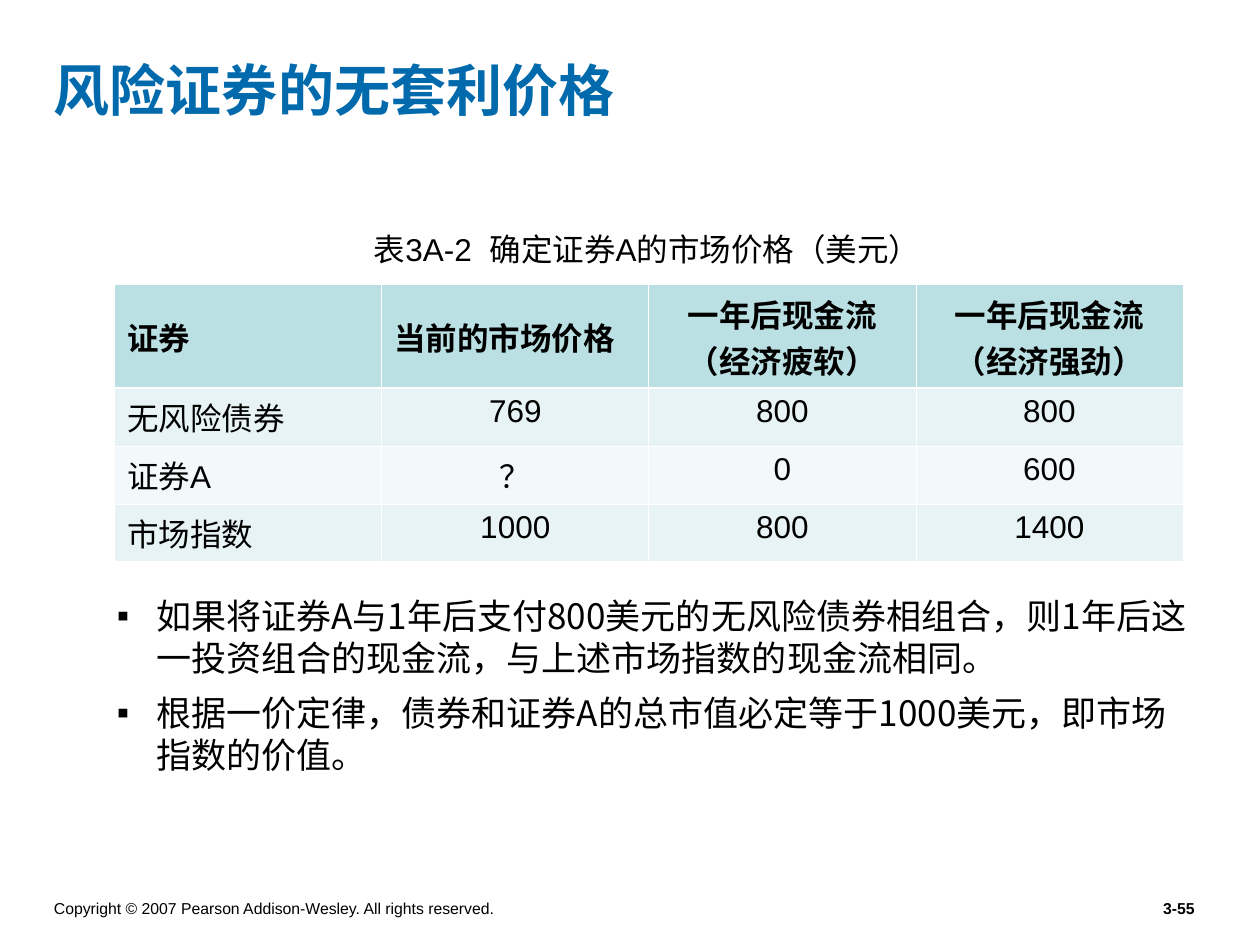
from dataclasses import dataclass

from lxml import etree
from pptx import Presentation
from pptx import util as u
from pptx.dml.color import RGBColor
from pptx.enum import text
from pptx.oxml import ns


@dataclass(frozen=True)
class Theme:
    latin: str = "Arial"
    chinese: str = "Noto Sans CJK SC"
    black: str = "000000"
    title: str = "006AAC"
    header_fill: str = "BBE0E3"
    odd_fill: str = "E7F3F4"
    even_fill: str = "F3F9FA"
    border: str = "FFFFFF"
    title_size: float = 32
    body_size: float = 20
    table_size: float = 18
    footer_size: float = 9
    thin: float = 0.45
    thick: float = 1.47


@dataclass(frozen=True)
class Box:
    left: float
    top: float
    width: float
    height: float

    def lengths(self) -> list:
        return [u.Inches(n) for n in (self.left, self.top, self.width, self.height)]


THEME = Theme()
LEFT, CENTER, RIGHT = text.PP_ALIGN.LEFT, text.PP_ALIGN.CENTER, text.PP_ALIGN.RIGHT
TOP, MIDDLE, BOTTOM = text.MSO_ANCHOR.TOP, text.MSO_ANCHOR.MIDDLE, text.MSO_ANCHOR.BOTTOM

HEADER_HEIGHT, ROW_HEIGHT = 0.82, 0.46
TABLE_ROWS = (
    ("证券", "当前的市场价格", "一年后现金流\n（经济疲软）", "一年后现金流\n（经济强劲）"),
    ("无风险债券", "769", "800", "800"),
    ("证券A", "？", "0", "600"),
    ("市场指数", "1000", "800", "1400"),
)
TABLE_BOX = Box(0.91, 2.26, 8.48, HEADER_HEIGHT + ROW_HEIGHT * (len(TABLE_ROWS) - 1))
BULLETS = (
    "如果将证券A与1年后支付800美元的无风险债券相组合，则1年后这一投资组合的现金流，与上述市场指数的现金流相同。",
    "根据一价定律，债券和证券A的总市值必定等于1000美元，即市场指数的价值。",
)


def add_bullet(paragraph) -> None:
    properties = paragraph._p.get_or_add_pPr()
    properties.set("marL", str(u.Inches(0.81)))
    properties.set("indent", str(u.Inches(-0.31)))
    color = etree.SubElement(properties, ns.qn("a:buClr"))
    etree.SubElement(color, ns.qn("a:srgbClr"), val=THEME.black)
    etree.SubElement(properties, ns.qn("a:buFont"), typeface=THEME.latin)
    etree.SubElement(properties, ns.qn("a:buChar"), char="▪")


def write_text(frame, content: str, *, size: float, color: str = THEME.black,
               font: str = THEME.latin, bold: bool = False, align=LEFT,
               bulleted: bool = False, gap: float = 0) -> None:
    """Write one paragraph per line of content, with gap points between them."""
    for index, line in enumerate(content.split("\n")):
        paragraph = frame.add_paragraph() if index else frame.paragraphs[0]
        if bulleted:
            add_bullet(paragraph)
        paragraph.alignment = align
        if index and gap:
            paragraph.space_before = u.Pt(gap)
        run = paragraph.add_run()
        run.text = line
        run.font.name = font
        run.font.size = u.Pt(size)
        run.font.bold = bold
        run.font.color.rgb = RGBColor.from_string(color)
        latin = run._r.rPr.find(ns.qn("a:latin"))
        east_asian = etree.Element(ns.qn("a:ea"), typeface=THEME.chinese)
        latin.addnext(east_asian)


def add_text_box(slide, box: Box, content: str, *, anchor=TOP, wrap: bool = True,
                 **text_format) -> None:
    frame = slide.shapes.add_textbox(*box.lengths()).text_frame
    frame.word_wrap = wrap
    frame.vertical_anchor = anchor
    if not wrap:
        frame.auto_size = text.MSO_AUTO_SIZE.SHAPE_TO_FIT_TEXT
    write_text(frame, content, **text_format)


def set_borders(cell, top: float, bottom: float) -> None:
    """Draw the cell borders; they must precede the fill in the cell properties."""
    properties = cell._tc.get_or_add_tcPr()
    widths = {"lnL": THEME.thin, "lnR": THEME.thin, "lnT": top, "lnB": bottom}
    for side, width in widths.items():
        line = etree.SubElement(properties, ns.qn(f"a:{side}"), w=str(u.Pt(width)))
        fill = etree.SubElement(line, ns.qn("a:solidFill"))
        etree.SubElement(fill, ns.qn("a:srgbClr"), val=THEME.border)


def add_price_table(slide) -> None:
    column_count = len(TABLE_ROWS[0])
    table = slide.shapes.add_table(
        len(TABLE_ROWS), column_count, *TABLE_BOX.lengths()).table
    for column in table.columns:
        column.width = u.Inches(TABLE_BOX.width / column_count)
    fills = (THEME.header_fill, THEME.odd_fill, THEME.even_fill, THEME.odd_fill)
    for r, (values, fill) in enumerate(zip(TABLE_ROWS, fills)):
        is_header = r == 0
        table.rows[r].height = u.Inches(HEADER_HEIGHT if is_header else ROW_HEIGHT)
        for c, value in enumerate(values):
            cell = table.cell(r, c)
            set_borders(cell, top=THEME.thick if r == 1 else THEME.thin,
                        bottom=THEME.thick if is_header else THEME.thin)
            cell.fill.solid()
            cell.fill.fore_color.rgb = RGBColor.from_string(fill)
            left_aligned = c == 0 or (is_header and c == 1)
            cell.vertical_anchor = MIDDLE if is_header and left_aligned else TOP
            write_text(cell.text_frame, value, size=THEME.table_size, bold=is_header,
                       align=LEFT if left_aligned else CENTER)


def main() -> None:
    presentation = Presentation()
    presentation.slide_width = u.Inches(10)
    presentation.slide_height = u.Inches(7.5)
    slide = presentation.slides.add_slide(presentation.slide_layouts[6])

    add_text_box(slide, Box(0.33, 7.08, 4.33, 0.25),
                 "Copyright © 2007 Pearson Addison-Wesley. All rights reserved.",
                 anchor=BOTTOM, size=THEME.footer_size)
    add_text_box(slide, Box(7.5, 7.08, 2.08, 0.25), "3-55",
                 size=THEME.footer_size, bold=True, align=RIGHT)
    add_text_box(slide, Box(0.33, 0.08, 9.25, 1.25), "风险证券的无套利价格",
                 anchor=MIDDLE, size=THEME.title_size, color=THEME.title, bold=True)
    add_text_box(slide, Box(0.33, 4.67, 9.25, 2.17), "\n".join(BULLETS),
                 size=THEME.body_size, font=THEME.chinese, bulleted=True, gap=7.5)
    add_price_table(slide)
    add_text_box(slide, Box(2.87, 1.78, 4.77, 0.4), "表3A-2  确定证券A的市场价格（美元）",
                 wrap=False, size=THEME.table_size)

    presentation.save("out.pptx")


if __name__ == "__main__":
    main()
